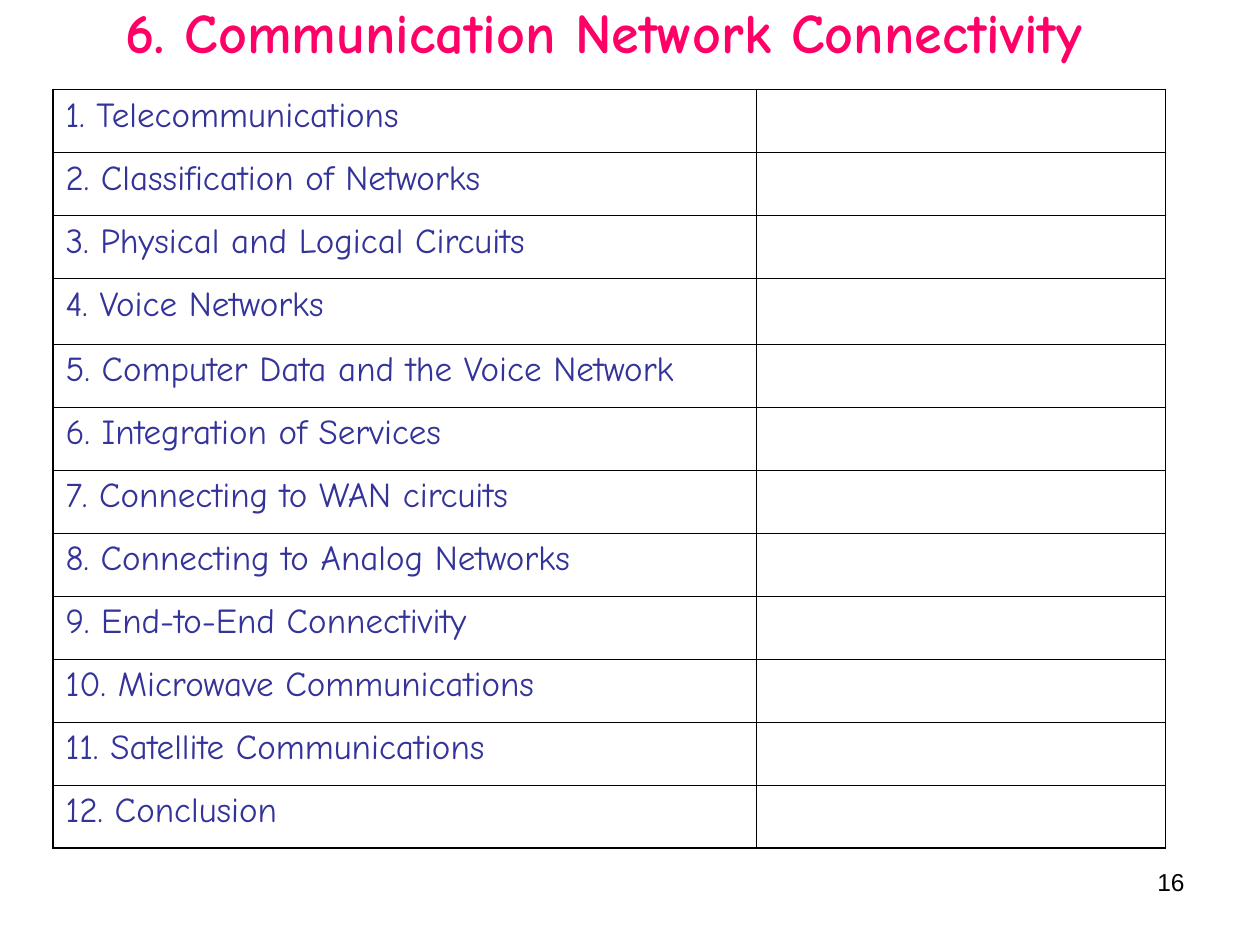
"""Build the contents slide for the chapter on communication network connectivity."""
from lxml.etree import SubElement
from pptx import Presentation
from pptx.dml.color import RGBColor
from pptx.enum.text import MSO_ANCHOR, MSO_AUTO_SIZE, PP_ALIGN
from pptx.oxml.ns import qn
from pptx.util import Inches, Pt

HEADING = "6. Communication Network Connectivity"
TOPICS = [
    "Telecommunications",
    "Classification of Networks",
    "Physical and Logical Circuits",
    "Voice Networks",
    "Computer Data and the Voice Network",
    "Integration of Services",
    "Connecting to WAN circuits",
    "Connecting to Analog Networks",
    "End-to-End Connectivity",
    "Microwave Communications",
    "Satellite Communications",
    "Conclusion",
]
PAGE_NUMBER = "16"

PINK = RGBColor(0xFF, 0x00, 0x66)
INDIGO = RGBColor(0x33, 0x33, 0x99)
BLACK = RGBColor(0x00, 0x00, 0x00)
HAND_FONT, PLAIN_FONT = "Comic Neue", "Arial"

COLUMN_WIDTHS = (5.58, 3.25)
ROW_HEIGHT, TALL_ROW_HEIGHT, TALL_ROW = 0.5, 0.52, 3
OUTER_RULE, INNER_RULE = Pt(1.08), Pt(0.45)


def write(paragraph, text, font_name, size, color, bold=False):
    """Add one formatted run to a paragraph."""
    run = paragraph.add_run()
    run.text = text
    font = run.font
    font.name, font.size, font.bold = font_name, Pt(size), bold
    font.color.rgb = color


def rule_cell(cell, outer_sides):
    """Draw the four borders of a cell, heavier on the table's outer sides."""
    properties = cell._tc.get_or_add_tcPr()
    for side, is_outer in outer_sides.items():
        width = OUTER_RULE if is_outer else INNER_RULE
        border = SubElement(properties, qn(f"a:ln{side}"), w=str(int(width)))
        fill = SubElement(border, qn("a:solidFill"))
        SubElement(fill, qn("a:srgbClr"), val=str(BLACK))
    cell.fill.background()


def add_heading(slide):
    """Place and fill the title placeholder."""
    title = slide.shapes.title
    title.left, title.top = Inches(0.17), 0
    title.width, title.height = Inches(9.25), Inches(0.5)
    frame = title.text_frame
    frame.auto_size = MSO_AUTO_SIZE.NONE
    frame.vertical_anchor = MSO_ANCHOR.MIDDLE
    frame.paragraphs[0].alignment = PP_ALIGN.CENTER
    write(frame.paragraphs[0], HEADING, HAND_FONT, 32, PINK, bold=True)


def add_topics(slide):
    """Add the ruled table of numbered topics with an empty second column."""
    row_heights = [TALL_ROW_HEIGHT if row == TALL_ROW else ROW_HEIGHT
                   for row in range(len(TOPICS))]
    table = slide.shapes.add_table(
        len(TOPICS), len(COLUMN_WIDTHS), Inches(0.42), Inches(0.71),
        Inches(sum(COLUMN_WIDTHS)), Inches(sum(row_heights))).table
    table.first_row = table.horz_banding = False
    for column, width in zip(table.columns, COLUMN_WIDTHS):
        column.width = Inches(width)
    last_row, last_column = len(TOPICS) - 1, len(COLUMN_WIDTHS) - 1
    for row, (topic, height) in enumerate(zip(TOPICS, row_heights)):
        table.rows[row].height = Inches(height)
        for column in range(len(COLUMN_WIDTHS)):
            rule_cell(table.cell(row, column), {
                "L": column == 0, "R": column == last_column,
                "T": row == 0, "B": row == last_row})
        entry = table.cell(row, 0).text_frame.paragraphs[0]
        entry.space_before = Pt(5)
        write(entry, f"{row + 1}. {topic}", HAND_FONT, 20, INDIGO)


def add_page_number(slide):
    """Add the right-aligned page number."""
    frame = slide.shapes.add_textbox(
        Inches(7.17), Inches(6.83), Inches(2.33), Inches(0.52)).text_frame
    frame.word_wrap = True
    frame.paragraphs[0].alignment = PP_ALIGN.RIGHT
    write(frame.paragraphs[0], PAGE_NUMBER, PLAIN_FONT, 14, BLACK)


def main():
    """Assemble and save the slide."""
    presentation = Presentation()
    presentation.slide_width, presentation.slide_height = Inches(10), Inches(7.5)
    slide = presentation.slides.add_slide(presentation.slide_layouts[5])
    add_heading(slide)
    add_topics(slide)
    add_page_number(slide)
    presentation.save("out.pptx")


if __name__ == "__main__":
    main()
